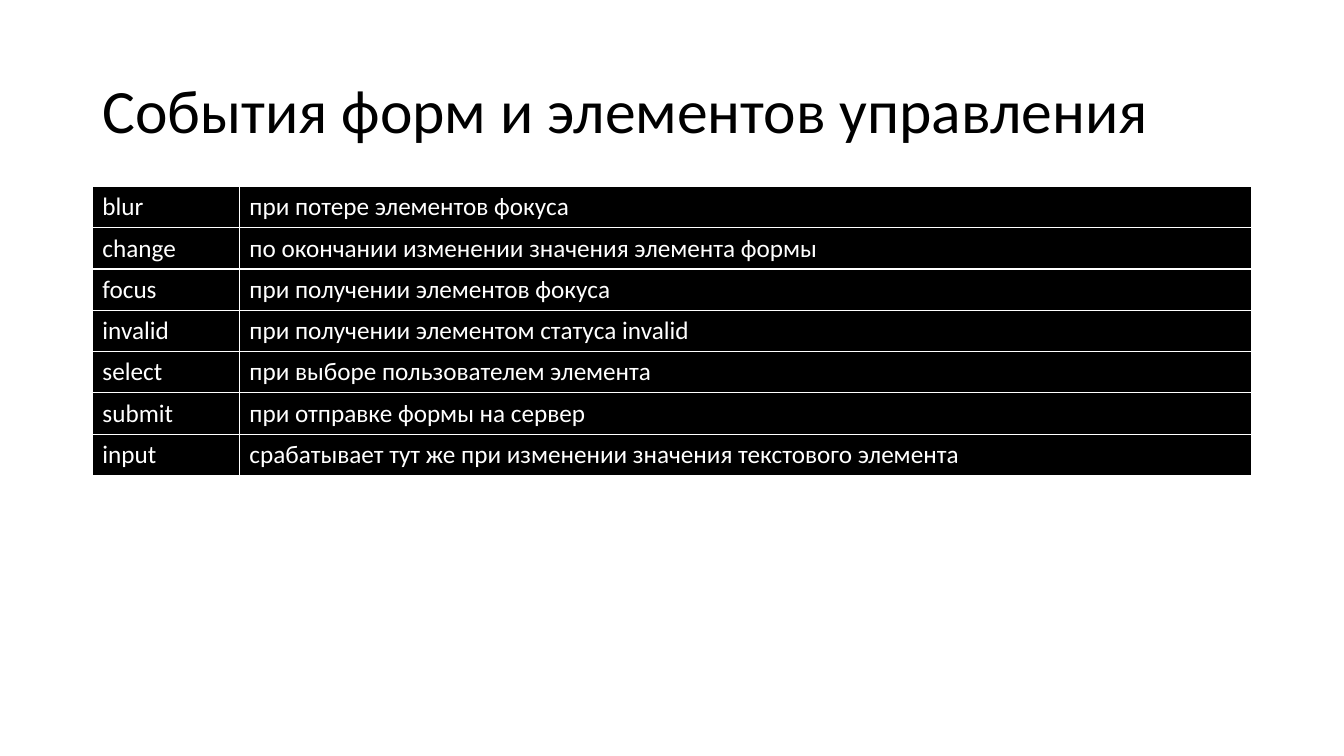
from lxml.etree import SubElement
from pptx import Presentation
from pptx.dml.color import RGBColor
from pptx.enum.text import MSO_ANCHOR as Anchor, PP_ALIGN as Align
from pptx.oxml.ns import qn
from pptx.util import Pt

BLACK, WHITE = "000000", "FFFFFF"
LEFT, WIDTH, ROW_HEIGHT = 66, 828, 29.5
COLUMN_WIDTHS = (105, 723)
EVENTS = [
    ("blur", "при потере элементов фокуса"),
    ("change", "по окончании изменении значения элемента формы"),
    ("focus", "при получении элементов фокуса"),
    ("invalid", "при получении элементом статуса invalid"),
    ("select", "при выборе пользователем элемента"),
    ("submit", "при отправке формы на сервер"),
    ("input", "срабатывает тут же при изменении значения текстового элемента"),
]


def add_text(paragraph, text, size, color):
    paragraph.alignment = Align.LEFT
    run = paragraph.add_run()
    run.text = text
    run.font.name = "Calibri"
    run.font.size = Pt(size)
    run.font.color.rgb = RGBColor.from_string(color)


def add_borders(cell, color):
    properties = cell._tc.get_or_add_tcPr()
    for side in ("a:lnL", "a:lnR", "a:lnT", "a:lnB"):
        line = SubElement(properties, qn(side), w=str(Pt(1)))
        fill = SubElement(line, qn("a:solidFill"))
        SubElement(fill, qn("a:srgbClr"), val=color)


deck = Presentation()
deck.slide_width, deck.slide_height = Pt(960), Pt(540)
slide = deck.slides.add_slide(deck.slide_layouts[5])

heading = slide.shapes.title
heading.left, heading.top = Pt(LEFT), Pt(28.75)
heading.width, heading.height = Pt(WIDTH), Pt(104.4)
heading.text_frame.word_wrap = True
heading.text_frame.vertical_anchor = Anchor.MIDDLE
heading_line = heading.text_frame.paragraphs[0]
heading_line.line_spacing = 0.9
add_text(heading_line, "События форм и элементов управления", 44, BLACK)

events_table = slide.shapes.add_table(
    len(EVENTS), len(COLUMN_WIDTHS),
    Pt(LEFT), Pt(133.2), Pt(WIDTH), Pt(ROW_HEIGHT * len(EVENTS)),
).table
events_table.first_row = False
events_table.horz_banding = False
for column, width in zip(events_table.columns, COLUMN_WIDTHS):
    column.width = Pt(width)

for row, event in zip(events_table.rows, EVENTS):
    row.height = Pt(ROW_HEIGHT)
    for cell, text in zip(row.cells, event):
        add_borders(cell, WHITE)
        cell.fill.solid()
        cell.fill.fore_color.rgb = RGBColor.from_string(BLACK)
        cell.vertical_anchor = Anchor.MIDDLE
        add_text(cell.text_frame.paragraphs[0], text, 18, WHITE)

deck.save("out.pptx")
